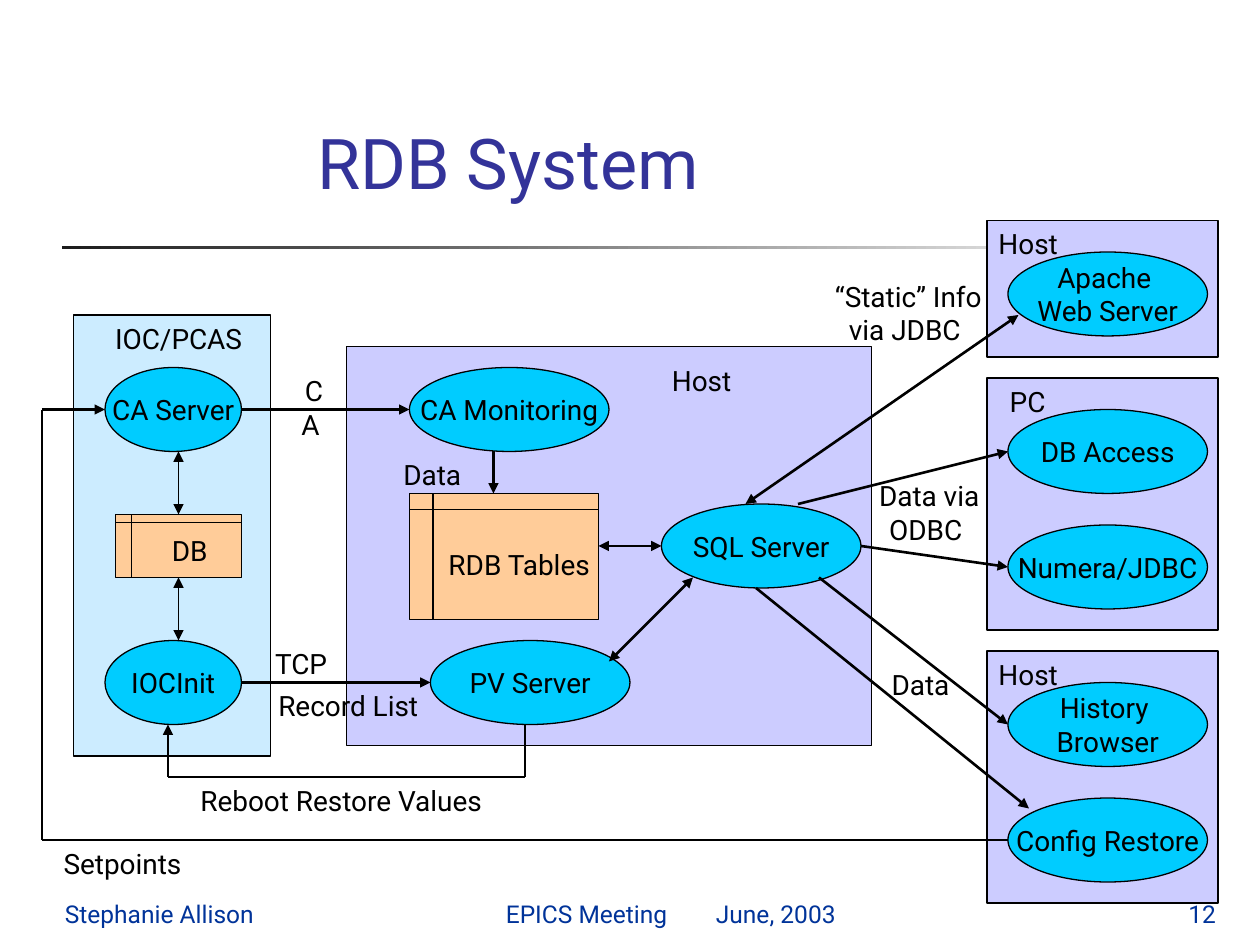
"""Build the RDB System data-flow slide."""
from dataclasses import dataclass
from typing import Optional

from lxml import etree
from pptx import Presentation, util as u
from pptx.dml.color import RGBColor
from pptx.enum import shapes, text
from pptx.oxml.ns import qn

PX = u.Inches(1) // 120
FONT = "Roboto"
COLORS = {
    "title": "333399", "footer": "003399", "ink": "000000", "white": "FFFFFF",
    "rule": "1C1C1C", "ioc": "CCECFF", "host": "CCCCFF",
    "process": "00CCFF", "store": "FFCC99",
}
RECT = shapes.MSO_SHAPE.RECTANGLE
OVAL = shapes.MSO_SHAPE.OVAL
STORE = shapes.MSO_SHAPE.FLOWCHART_INTERNAL_STORAGE
ALIGN = text.PP_ALIGN
ANCHOR = text.MSO_ANCHOR


@dataclass
class Node:
    kind: shapes.MSO_SHAPE
    color: str
    x: int
    y: int
    w: int
    h: int
    words: str = ""


@dataclass
class Label:
    words: str
    x: int
    y: int
    w: int
    h: int = 44
    wrap: bool = True


@dataclass
class Link:
    x1: int
    y1: int
    x2: int
    y2: int
    head: bool = False
    tail: bool = True
    width: float = 1.5
    begin: Optional[tuple[str, int]] = None
    end: Optional[tuple[str, int]] = None


def panel(color: str, x: int, y: int, w: int, h: int) -> Node:
    return Node(RECT, color, x, y, w, h)


def process(words: str, x: int, y: int, w: int = 190) -> Node:
    return Node(OVAL, "process", x, y, w, 80, words)


PANELS = [
    panel("ioc", 70, 300, 188, 420), panel("host", 330, 330, 500, 380),
    panel("host", 940, 210, 220, 130), panel("host", 940, 360, 220, 240),
    panel("host", 940, 620, 220, 240),
]
NODES = [
    Node(STORE, "store", 390, 470, 180, 120, " RDB Tables"),
    Node(STORE, "store", 110, 490, 120, 60, " DB"),
    process("CA Server", 100, 350, 130),
    process("IOCInit", 100, 610, 130),
    process("CA Monitoring", 390, 350),
    process("PV Server", 410, 610),
    process("SQL Server", 630, 480),
    process("Apache \nWeb Server", 960, 240),
    process("DB Access", 960, 390),
    process("Numera/JDBC", 960, 500),
    process("History \nBrowser", 960, 650),
    process("Config Restore", 960, 760),
]
LABELS = [
    Label("IOC/PCAS ", 98, 300, 151, wrap=False),
    Label("Host ", 629, 340, 85, wrap=False),
    Label("Host ", 940, 210, 85, wrap=False),
    Label("PC ", 950, 360, 64, wrap=False),
    Label("Host ", 940, 620, 85, wrap=False),
    Label("CA ", 270, 350, 58),
    Label("TCP ", 250, 610, 80),
    Label("Record List ", 250, 650, 170),
    Label("Data ", 370, 430, 90),
    Label("“Static” Info\nvia JDBC ", 760, 260, 210, 77),
    Label("Data via ODBC ", 800, 450, 170, 77),
    Label("Data ", 820, 630, 120),
    Label("Setpoints ", 40, 800, 160),
    Label("Reboot Restore Values", 170, 740, 310),
]
LINKS = [
    Link(230, 390, 390, 390),
    Link(230, 650, 410, 650),
    Link(170, 430, 170, 490, head=True, width=0.75, end=(" DB", 0)),
    Link(170, 550, 170, 610, head=True, width=0.75, begin=(" DB", 2)),
    Link(470, 430, 470, 470),
    Link(580, 630, 660, 550, head=True),
    Link(630, 520, 570, 520, head=True),
    Link(710, 480, 970, 300, head=True),
    Link(760, 480, 960, 430),
    Link(820, 520, 960, 540),
    Link(780, 550, 960, 690),
    Link(720, 560, 980, 770),
    Link(500, 690, 500, 740, tail=False),
    Link(500, 740, 160, 740, tail=False),
    Link(160, 740, 160, 690),
    Link(960, 800, 40, 800, tail=False),
    Link(40, 800, 40, 390, tail=False),
    Link(40, 390, 100, 390),
]


def rgb(name: str) -> RGBColor:
    return RGBColor.from_string(COLORS[name])


def write(sp, words: str, size: int = 16, color: str = "ink", align=ALIGN.CENTER,
          anchor=ANCHOR.TOP, wrap: bool = True) -> None:
    tf = sp.text_frame
    tf.auto_size = text.MSO_AUTO_SIZE.NONE
    tf.word_wrap = wrap
    tf.vertical_anchor = anchor
    tf.text = words
    for p in tf.paragraphs:
        p.alignment = align
        for r in p.runs:
            r.font.name, r.font.size = FONT, u.Pt(size)
            r.font.color.rgb = rgb(color)


def add_text(s, label: Label, **style) -> None:
    sp = s.shapes.add_textbox(*(v * PX for v in (label.x, label.y, label.w, label.h)))
    write(sp, label.words, wrap=label.wrap, **style)


def add_node(s, node: Node):
    sp = s.shapes.add_shape(
        node.kind, *(v * PX for v in (node.x, node.y, node.w, node.h)))
    sp.shadow.inherit = False
    sp.fill.solid()
    sp.fill.fore_color.rgb = rgb(node.color)
    sp.line.color.rgb = rgb("ink")
    sp.line.width = u.Pt(0.75)
    if node.words:
        write(sp, node.words, anchor=ANCHOR.MIDDLE, wrap=False)
    return sp


def add_link(s, link: Link, drawn: dict) -> None:
    c = s.shapes.add_connector(
        shapes.MSO_CONNECTOR.STRAIGHT,
        *(v * PX for v in (link.x1, link.y1, link.x2, link.y2)))
    c.line.color.rgb = rgb("ink")
    c.line.width = u.Pt(link.width)
    ln = c.line._get_or_add_ln()
    for shown, tag in ((link.head, "a:headEnd"), (link.tail, "a:tailEnd")):
        if shown:
            etree.SubElement(ln, qn(tag), type="triangle")
    etree.SubElement(c._element.spPr, qn("a:effectLst"))
    if link.begin:
        c.begin_connect(drawn[link.begin[0]], link.begin[1])
    if link.end:
        c.end_connect(drawn[link.end[0]], link.end[1])


def add_heading(s) -> None:
    rule = add_node(s, Node(RECT, "rule", 58, 234, 1080, 4))
    rule.line.color.rgb = rgb("white")
    rule.fill.gradient()
    rule.fill.gradient_angle = 0
    for stop, name in zip(rule.fill.gradient_stops, ("rule", "white")):
        stop.color.rgb = rgb(name)
    sp = s.shapes.title
    sp.left, sp.top, sp.width, sp.height = (v * PX for v in (290, 100, 590, 100))
    write(sp, "RDB System", size=40, color="title", align=ALIGN.LEFT,
          anchor=ANCHOR.BOTTOM)


def add_footer(s) -> None:
    for words, x, w, align in (
            ("Stephanie Allison", 50, 250, ALIGN.LEFT),
            ("EPICS Meeting", 470, 180, ALIGN.LEFT),
            ("June, 2003", 670, 150, ALIGN.LEFT),
            ("12", 990, 180, ALIGN.RIGHT)):
        add_text(s, Label(words, x, 830, w, 60), size=14, color="footer",
                 align=align, anchor=ANCHOR.BOTTOM)


def main() -> None:
    prs = Presentation()
    prs.slide_width, prs.slide_height = 1200 * PX, 900 * PX
    s = prs.slides.add_slide(prs.slide_layouts[5])
    add_heading(s)
    for node in PANELS:
        add_node(s, node)
    drawn = {node.words: add_node(s, node) for node in NODES}
    for link in LINKS:
        add_link(s, link, drawn)
    for label in LABELS:
        add_text(s, label)
    add_footer(s)
    prs.save("out.pptx")


if __name__ == "__main__":
    main()
